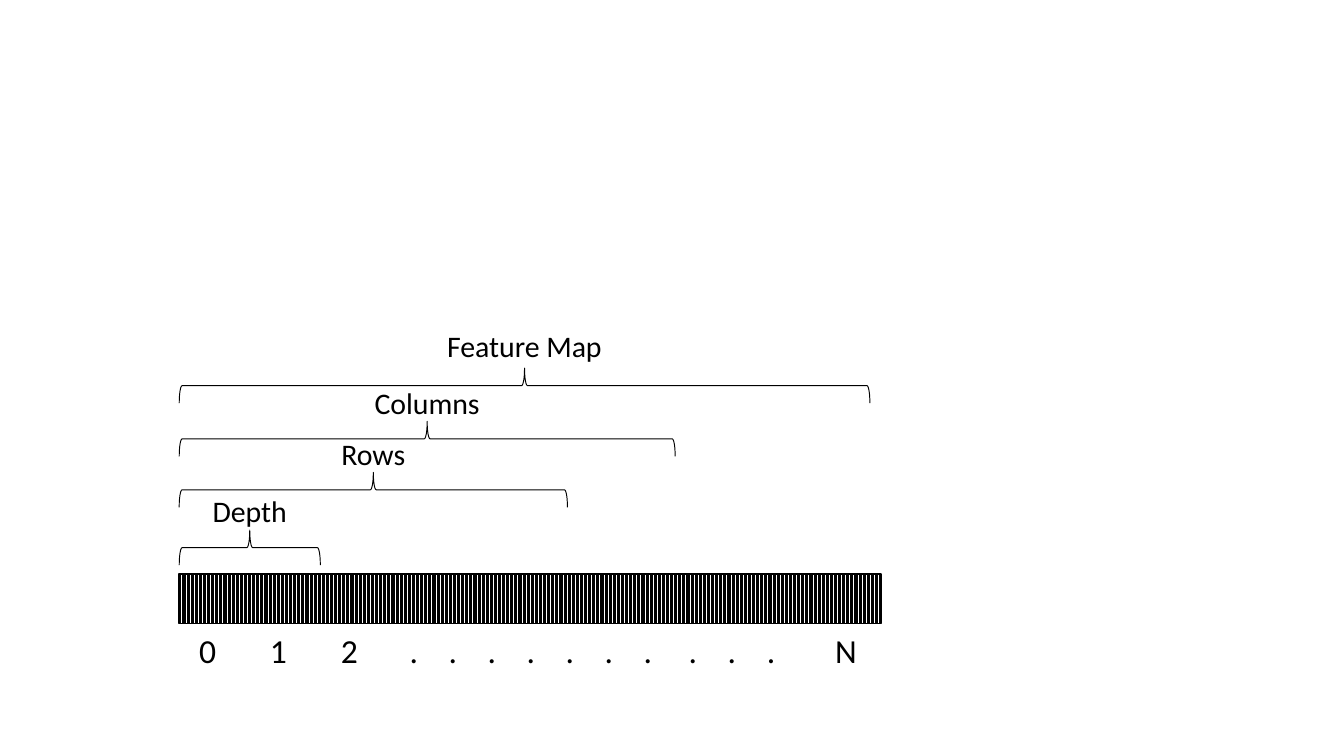
from lxml.etree import SubElement
from pptx import Presentation
from pptx.dml.color import RGBColor
from pptx.enum.dml import MSO_PATTERN_TYPE as Pattern
from pptx.enum.shapes import MSO_SHAPE as Shape
from pptx.enum.text import PP_ALIGN as Align
from pptx.oxml.ns import qn
from pptx.util import Pt

COLORS = {"ink": "000000", "paper": "FFFFFF"}
ink, paper = (RGBColor.from_string(COLORS[name]) for name in ("ink", "paper"))


def write(frame, text, size, align=Align.CENTER):
    para = frame.paragraphs[0]
    para.alignment = align
    span = para.add_run()
    span.text = text
    for name, value in {"name": "Calibri", "size": Pt(size), "bold": False}.items():
        setattr(span.font, name, value)
    span.font.color.rgb = ink
    return para


def outline(shape, width):
    shape.shadow.inherit = False
    shape.line.color.rgb = ink
    shape.line.width = Pt(width)


deck = Presentation()
deck.slide_width, deck.slide_height = Pt(720), Pt(405)
page = deck.slides.add_slide(deck.slide_layouts[6])

# Memory strip
strip_left = 96
strip = page.shapes.add_shape(
    Shape.RECTANGLE, Pt(strip_left), Pt(307.5), Pt(376), Pt(26.6))
strip.fill.patterned()
strip.fill.pattern = Pattern.DARK_VERTICAL
strip.fill.fore_color.rgb = ink
strip.fill.back_color.rgb = paper
outline(strip, 1)

# Nested braces, all starting at the left end of the strip
brace_depth, label_height = 18.7, 26.6
levels = [  # label, span length, brace middle, label top, label width
    ("Depth", 75.6, 293.4, 260.6, 79.2),
    ("Rows", 208, 262.4, 229.7, 79.2),
    ("Columns", 265.7, 235.1, 202.3, 79.2),
    ("Feature Map", 370, 206.6, 172.1, 120.2),
]
for label, length, middle, label_top, label_width in levels:
    center = strip_left + length / 2
    brace = page.shapes.add_shape(
        Shape.RIGHT_BRACE, Pt(center - brace_depth / 2), Pt(middle - length / 2),
        Pt(brace_depth), Pt(length))
    brace.rotation = 270
    brace.fill.background()
    outline(brace, 0.5)
    box = page.shapes.add_textbox(
        Pt(center - label_width / 2), Pt(label_top), Pt(label_width), Pt(label_height))
    box.text_frame.word_wrap = True
    write(box.text_frame, label, 16)

# Index row under the strip
dot_count, dot_pitch, dot_extra = 10, 20.9, 3.2
indexes = ["0", "1", "2", "\t".join("." * dot_count), "N"]
widths = [38, 38, 38, 228, 38]
frame = page.shapes.add_table(
    1, len(indexes), Pt(92.2), Pt(334.8), Pt(sum(widths)), Pt(29.5))
table = frame.table
table.first_row = table.horz_banding = False
for column, (text, width) in enumerate(zip(indexes, widths)):
    table.columns[column].width = Pt(width)
    cell = table.cell(0, column)
    cell.fill.solid()
    cell.fill.fore_color.rgb = paper
    if "\t" not in text:
        write(cell.text_frame, text, 18)
        continue
    cell.margin_left = Pt(13.3)
    para = write(cell.text_frame, text, 18, Align.LEFT)
    stops = SubElement(para._p.get_or_add_pPr(), qn("a:tabLst"))
    for dot in range(1, dot_count):
        position = dot * dot_pitch + (dot_extra if dot >= 7 else 0)
        SubElement(stops, qn("a:tab"), pos=str(Pt(position)), algn="l")

deck.save("out.pptx")
